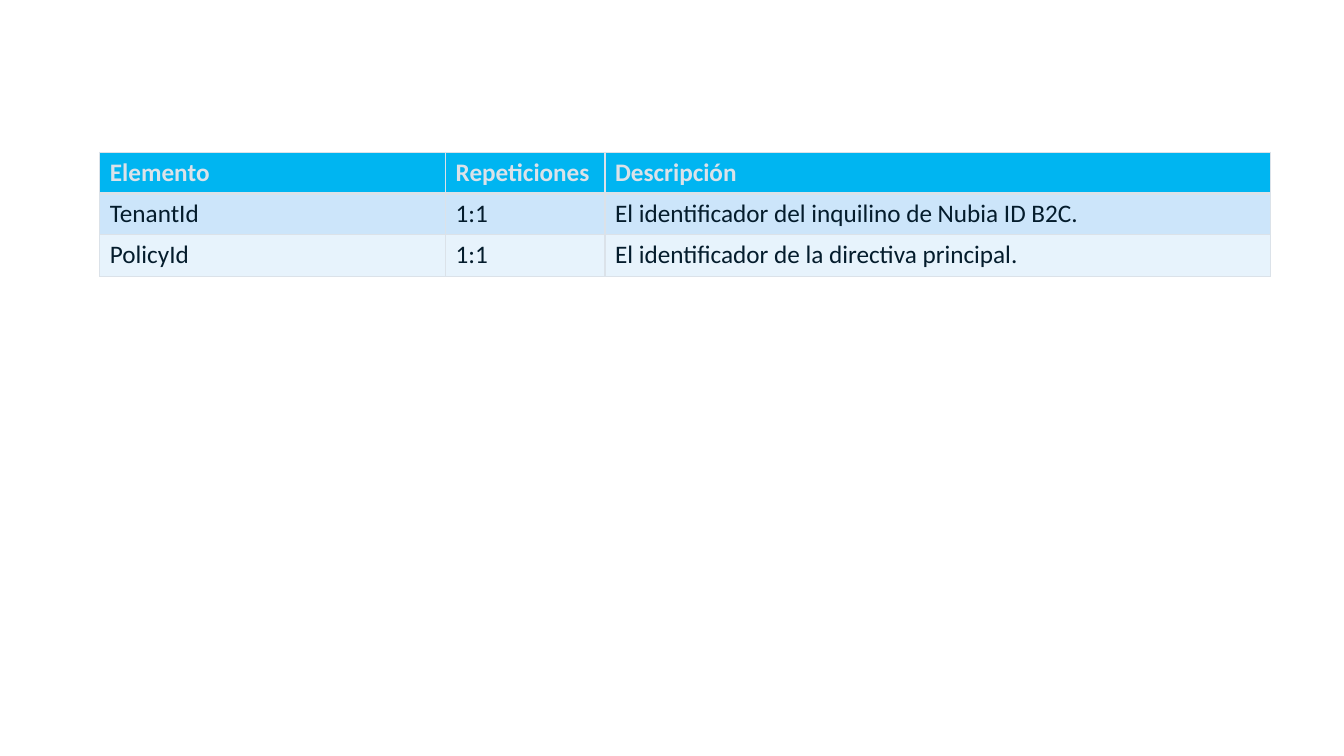
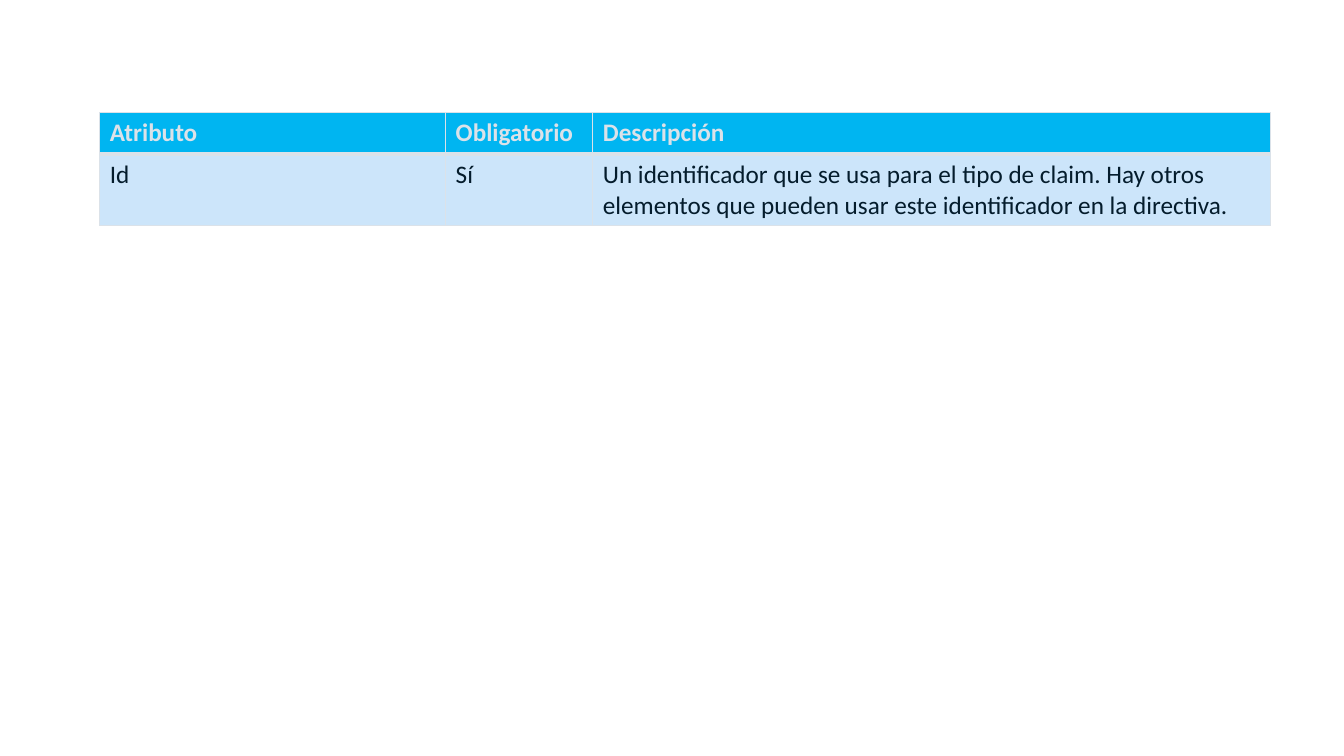
from dataclasses import dataclass

from lxml.etree import SubElement
from pptx import Presentation
from pptx.dml.color import RGBColor
from pptx.oxml.ns import qn
from pptx.presentation import Presentation as Deck
from pptx.table import _Cell as Cell
from pptx.util import Inches, Pt

COLORS = {
    "header": "00B5F1",
    "odd_row": "CCE5FA",
    "even_row": "E7F3FC",
    "border": "DBE2E9",
    "header_text": "DBE2E9",
    "body_text": "041C2C",
}
FONT = "Calibri"
TABLE_LEFT = 0.99
THIN, THICK = 1, 3


@dataclass(frozen=True)
class TableSpec:
    top: float
    column_widths: tuple[float, ...]
    row_heights: tuple[float, ...]
    rows: tuple[tuple[str, ...], ...]


TABLES = (
    TableSpec(
        top=1.51,
        column_widths=(3.43, 1.58, 6.6),
        row_heights=(0.41, 0.41, 0.41),
        rows=(
            ("Elemento", "Repeticiones", "Descripción"),
            ("TenantId", "1:1", "El identificador del inquilino de Nubia ID B2C."),
            ("PolicyId", "1:1", "El identificador de la directiva principal."),
        ),
    ),
    TableSpec(
        top=1.12,
        column_widths=(3.43, 1.46, 6.72),
        row_heights=(0.41, 0.7),
        rows=(
            ("Atributo", "Obligatorio", "Descripción"),
            (
                "Id",
                "Sí",
                "Un identificador que se usa para el tipo de claim. Hay otros "
                "elementos que pueden usar este identificador en la directiva.",
            ),
        ),
    ),
)


def set_borders(cell: Cell, *, top: int = THIN, bottom: int = THIN) -> None:
    """Draw all four cell edges; must run before the cell gets its fill."""
    properties = cell._tc.get_or_add_tcPr()
    for side, width in (("L", THIN), ("R", THIN), ("T", top), ("B", bottom)):
        line = SubElement(properties, qn(f"a:ln{side}"), w=str(Pt(width)))
        fill = SubElement(line, qn("a:solidFill"))
        SubElement(fill, qn("a:srgbClr"), val=COLORS["border"])


def write_text(cell: Cell, text: str, *, color: str, bold: bool = False, size: int = 18) -> None:
    span = cell.text_frame.paragraphs[0].add_run()
    span.text = text
    span.font.name = FONT
    span.font.size = Pt(size)
    span.font.bold = bold
    span.font.color.rgb = RGBColor.from_string(COLORS[color])


def fill_cell(cell: Cell, color: str) -> None:
    cell.fill.solid()
    cell.fill.fore_color.rgb = RGBColor.from_string(COLORS[color])


def add_table_page(deck: Deck, spec: TableSpec) -> None:
    page = deck.slides.add_slide(deck.slide_layouts[6])
    table = page.shapes.add_table(
        len(spec.rows),
        len(spec.column_widths),
        Inches(TABLE_LEFT),
        Inches(spec.top),
        Inches(sum(spec.column_widths)),
        Inches(sum(spec.row_heights)),
    ).table
    for column, width in zip(table.columns, spec.column_widths):
        column.width = Inches(width)
    for row, height in zip(table.rows, spec.row_heights):
        row.height = Inches(height)

    for row_index, texts in enumerate(spec.rows):
        is_header = row_index == 0
        band = "header" if is_header else "odd_row" if row_index % 2 else "even_row"
        for column_index, text in enumerate(texts):
            cell = table.cell(row_index, column_index)
            set_borders(
                cell,
                top=THICK if row_index == 1 else THIN,
                bottom=THICK if is_header else THIN,
            )
            fill_cell(cell, band)
            write_text(cell, text, color="header_text" if is_header else "body_text", bold=is_header)


def main() -> None:
    deck = Presentation()
    deck.slide_width = Inches(13.33)
    deck.slide_height = Inches(7.5)
    for spec in TABLES:
        add_table_page(deck, spec)
    deck.save("out.pptx")


if __name__ == "__main__":
    main()
